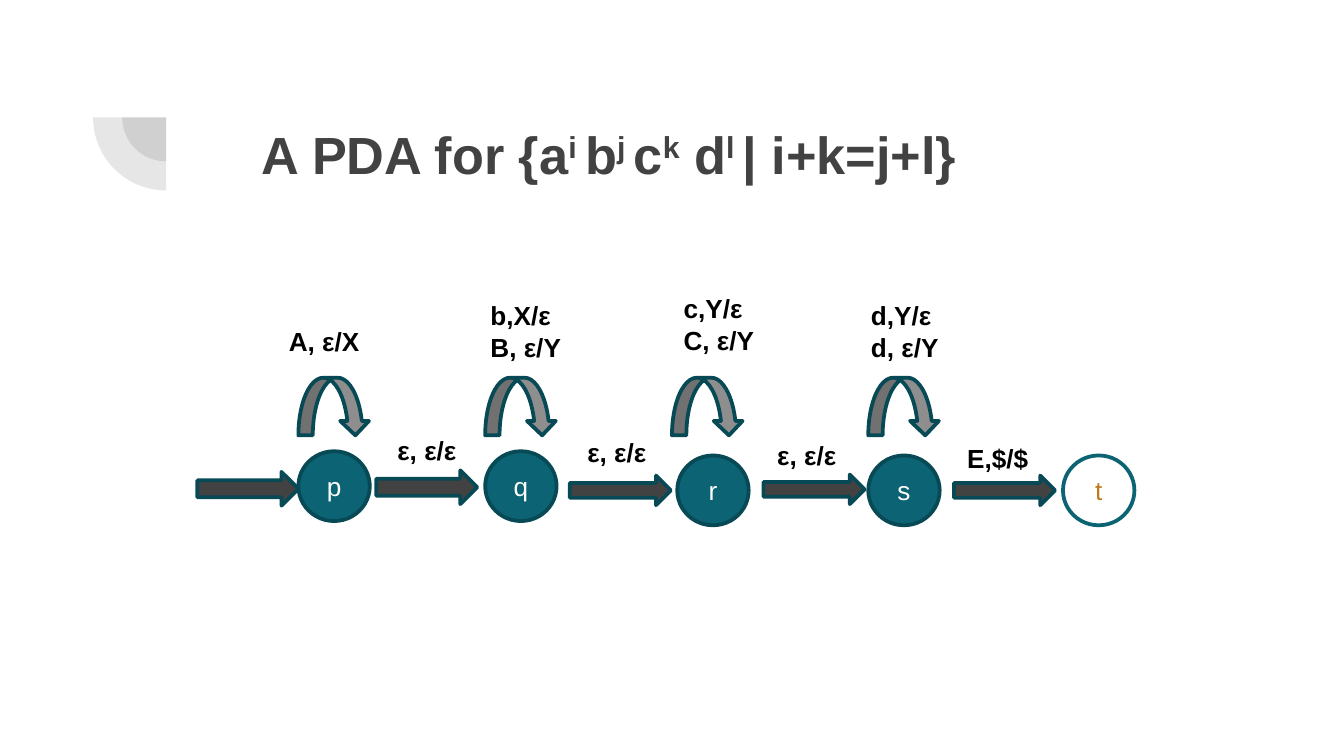
from lxml import etree
from pptx import Presentation
from pptx import util as u
from pptx.dml import color
from pptx.enum import shapes, text
from pptx.oxml import ns

COLORS = {
    "dark": "424242", "teal": "0B6374", "edge": "084956", "loop": "8E8E8E",
    "white": "FFFFFF", "black": "000000", "orange": "C0791B",
}
TITLE = [("A PDA for {a", 0), ("i ", 1), ("b", 0), ("j ", 1), ("c", 0),
         ("k", 1), (" d", 0), ("l ", 1), ("| i+k=j+l}", 0)]
STATES = [("p", 5.64, 8.53), ("q", 9.17, 8.53), ("r", 12.8, 8.61),
          ("s", 16.41, 8.61), ("t", 20.09, 8.61)]
ARROWS = [(3.73, 8.92, 0.64), (7.11, 8.89, 0.64), (10.77, 8.99, 0.56),
          (14.43, 8.97, 0.56), (18.03, 8.99, 0.56)]
LOOPS = [(5.64, 5.21, 6.02, ["A, ε/X"]),
         (9.17, 9.02, 5.54, ["b,X/ε", "B, ε/Y"]),
         (12.7, 12.67, 5.41, ["c,Y/ε", "C, ε/Y"]),
         (16.41, 16.21, 5.54, ["d,Y/ε", "d, ε/Y"])]
EDGE_LABELS = ["ε, ε/ε", "ε, ε/ε", "ε, ε/ε", "Ε,$/$"]


def rgb(name):
    return color.RGBColor.from_string(COLORS[name])


def box(*lengths):
    return [u.Cm(v) for v in lengths]


def set_font(r, size, col, bold=False):
    values = {"name": "Arial", "size": u.Pt(size), "bold": bold}
    for key, value in values.items():
        setattr(r.font, key, value)
    r.font.color.rgb = rgb(col)


def add_shape(s, kind, place, fill, line=None):
    sp = s.shapes.add_shape(kind, *box(*place))
    sp.shadow.inherit = False
    sp.fill.solid()
    sp.fill.fore_color.rgb = rgb(fill)
    if line:
        sp.line.color.rgb = rgb(line)
        sp.line.width = u.Pt(2)
    else:
        sp.line.fill.background()
    return sp


def add_quarter(s, radius):
    place = (3.14 - radius, 2.22 - radius, 2 * radius, 2 * radius)
    sp = add_shape(s, shapes.MSO_SHAPE.PIE, place, "dark")
    sp.rotation = 270
    sp.adjustments[0], sp.adjustments[1] = 108, 162
    clr = sp.fill._xPr.find(".//" + ns.qn("a:srgbClr"))
    etree.SubElement(clr, ns.qn("a:alpha"), val="13000")


def add_title(s):
    sp = s.shapes.add_textbox(*box(4.7, 2.06, 19.53, 2.77))
    tf = sp.text_frame
    tf.word_wrap = True
    for side in ("left", "top", "right", "bottom"):
        setattr(tf, "margin_" + side, u.Cm(0.25))
    for words, raised in TITLE:
        r = tf.paragraphs[0].add_run()
        r.text = words
        set_font(r, 28, "dark", True)
        if raised:
            r.font._element.set("baseline", "30000")


def add_state(s, name, x, y):
    final = name == "t"
    fill, line, ink = (("white", "teal", "orange") if final
                       else ("teal", "edge", "white"))
    sp = add_shape(s, shapes.MSO_SHAPE.OVAL, (x, y, 1.35, 1.32), fill, line)
    tf = sp.text_frame
    tf.vertical_anchor = text.MSO_ANCHOR.MIDDLE
    p = tf.paragraphs[0]
    p.alignment = text.PP_ALIGN.CENTER
    r = p.add_run()
    r.text = name
    set_font(r, 14, ink)


def add_label(s, x, y, lines):
    height = 0.27 + 0.59 * len(lines)
    tf = s.shapes.add_textbox(*box(x, y, 2.41, height)).text_frame
    tf.word_wrap = True
    for i, line in enumerate(lines):
        p = tf.add_paragraph() if i else tf.paragraphs[0]
        r = p.add_run()
        r.text = line
        set_font(r, 14, "black", True)


def main():
    prs = Presentation()
    prs.slide_width, prs.slide_height = box(25.4, 14.29)
    s = prs.slides.add_slide(prs.slide_layouts[6])
    for radius in (0.83, 1.38):
        add_quarter(s, radius)
    add_title(s)
    for (x, y, h), state in zip(ARROWS, STATES):
        add_shape(s, shapes.MSO_SHAPE.RIGHT_ARROW, (x, y, 1.91, h),
                  "dark", "edge")
        add_state(s, *state)
    for x, label_x, label_y, lines in LOOPS:
        add_shape(s, shapes.MSO_SHAPE.CURVED_DOWN_ARROW,
                  (x, 7.14, 1.35, 1.09), "loop", "edge")
        add_label(s, label_x, label_y, lines)
    for i, label in enumerate(EDGE_LABELS):
        add_label(s, 7.26 + 3.59 * i, 8.08 + 0.05 * i, [label])
    prs.save("out.pptx")


if __name__ == "__main__":
    main()
